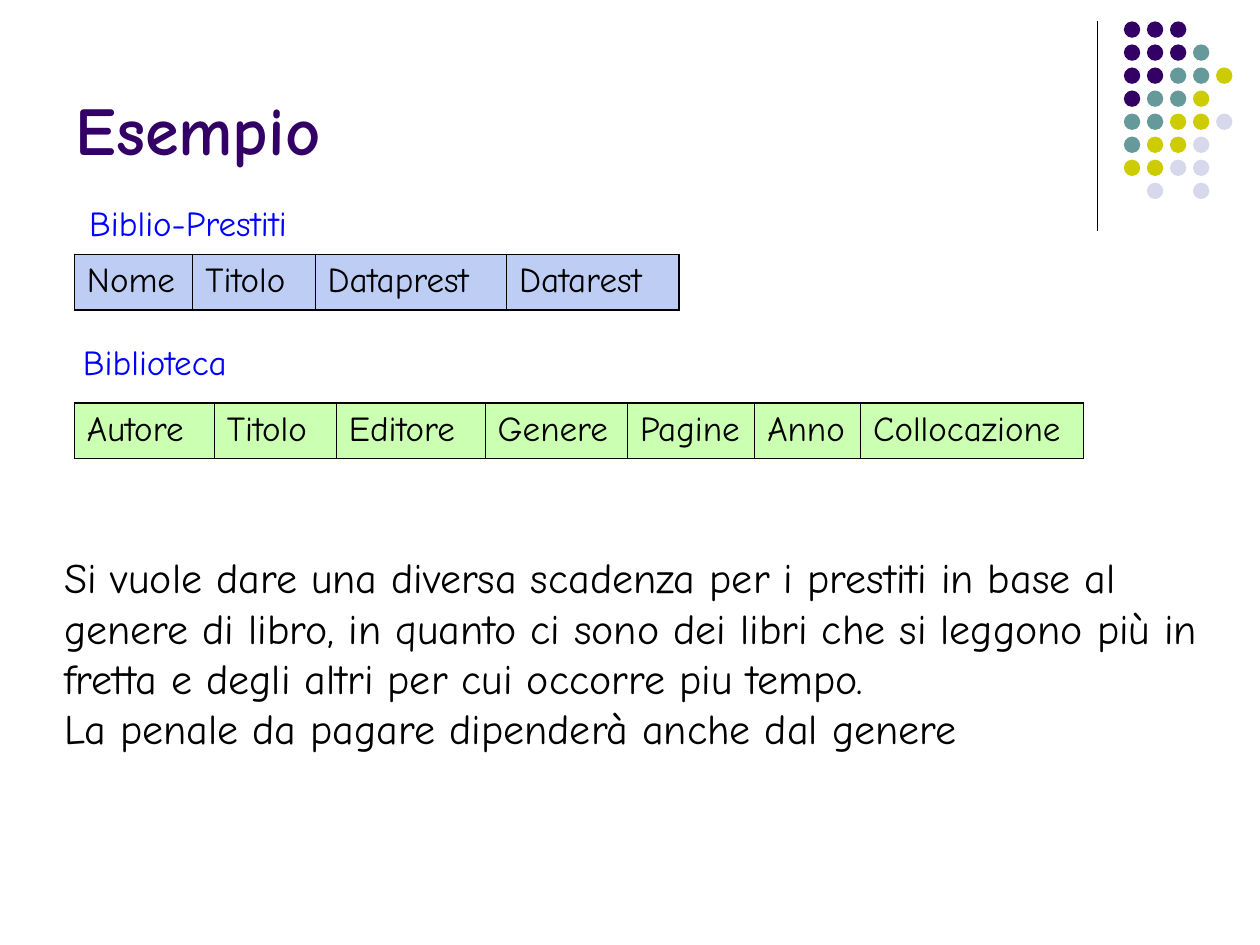
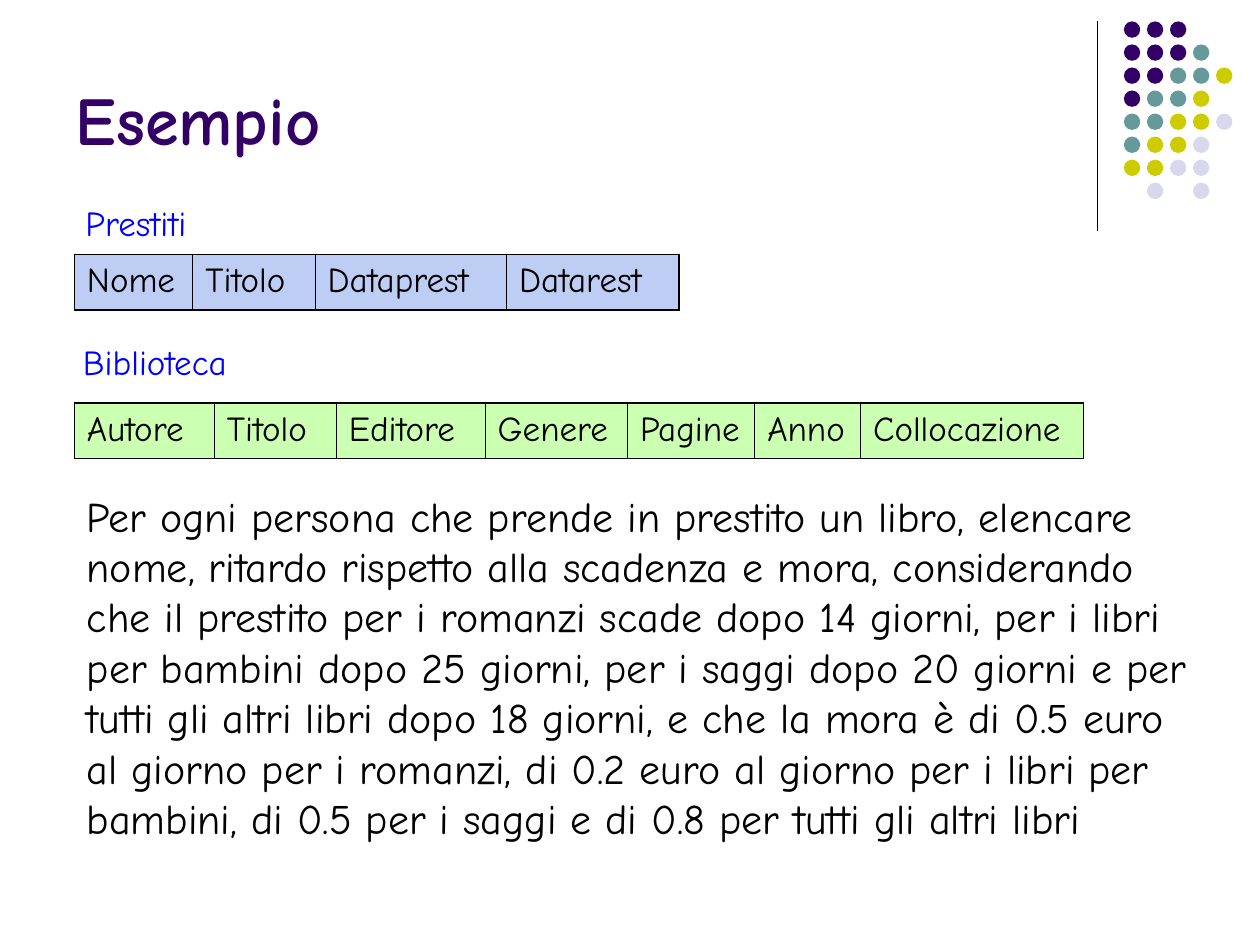
from dataclasses import dataclass

from lxml.etree import SubElement
from pptx import Presentation
from pptx.dml.color import RGBColor
from pptx.enum.shapes import MSO_CONNECTOR as CONNECTOR, MSO_SHAPE as SHAPE
from pptx.enum.text import MSO_ANCHOR as ANCHOR, MSO_AUTO_SIZE as AUTO_SIZE, PP_ALIGN as ALIGN
from pptx.oxml.ns import qn
from pptx.util import Inches, Pt


@dataclass(frozen=True)
class Theme:
    font: str = "Comic Neue"
    purple: str = "330066"
    teal: str = "669999"
    yellow: str = "CCCC00"
    lilac: str = "D8D8EC"
    blue: str = "0000FF"
    black: str = "000000"
    loans_fill: str = "7E9CE8"
    library_fill: str = "99FF66"
    fill_alpha: int = 50
    title_size: float = 39
    text_size: float = 24
    table_size: float = 20
    outer_border: float = 1.08
    inner_border: float = 0.45
    rule_width: float = 0.75


# Corner ornament: one letter per dot
DOT_ROWS = ["PPP", "PPPT", "PPTTY", "PTTY", "TTYYL", "TYYL", "YYLL", ".L.L"]
DOT_LEFT, DOT_TOP, DOT_SIZE = 8.92, 0.17, 0.13
DOT_PITCH = 1.28 / 7

# Both relations, as column name and width
LOANS = {"Nome": 0.94, "Titolo": 0.97, "Dataprest": 1.52, "Datarest": 1.37}
LIBRARY = {"Autore": 1.11, "Titolo": 0.97, "Editore": 1.18, "Genere": 1.13,
           "Pagine": 1.01, "Anno": 0.84, "Collocazione": 1.77}
TABLE_LEFT, ROW_HEIGHT = 0.59, 0.44


class Deck:
    def __init__(self, theme):
        self.theme = theme
        self.presentation = Presentation()
        self.presentation.slide_width = Inches(10)
        self.presentation.slide_height = Inches(7.5)
        self.slide = None

    def format(self, paragraph, size, color, bold=False):
        for run in paragraph.runs:
            run.font.name = self.theme.font
            run.font.size = Pt(size)
            run.font.bold = bold
            run.font.color.rgb = RGBColor.from_string(color)

    def new_slide(self, title, title_top):
        title_only = self.presentation.slide_layouts[5]
        self.slide = self.presentation.slides.add_slide(title_only)
        self.ornament()
        self.title(title, title_top)

    def ornament(self):
        theme = self.theme
        rule = self.slide.shapes.add_connector(
            CONNECTOR.STRAIGHT, Inches(8.71), Inches(0.17), Inches(8.71), Inches(1.83))
        rule.line.color.rgb = RGBColor.from_string(theme.black)
        rule.line.width = Pt(theme.rule_width)
        SubElement(rule.element.spPr, qn("a:effectLst"))

        colors = {"P": theme.purple, "T": theme.teal, "Y": theme.yellow, "L": theme.lilac}
        dots = self.slide.shapes.add_group_shape()
        for row, letters in enumerate(DOT_ROWS):
            for column, letter in enumerate(letters):
                if letter not in colors:
                    continue
                dot = dots.shapes.add_shape(
                    SHAPE.OVAL,
                    Inches(DOT_LEFT + column * DOT_PITCH), Inches(DOT_TOP + row * DOT_PITCH),
                    Inches(DOT_SIZE), Inches(DOT_SIZE))
                dot.shadow.inherit = False
                dot.fill.solid()
                dot.fill.fore_color.rgb = RGBColor.from_string(colors[letter])
                dot.line.fill.background()

    def title(self, text, top):
        heading = self.slide.shapes.title
        heading.left, heading.top = Inches(0.5), Inches(top)
        heading.width, heading.height = Inches(8.25), Inches(1.42)
        frame = heading.text_frame
        frame.text = text
        frame.auto_size = AUTO_SIZE.NONE
        frame.vertical_anchor = ANCHOR.BOTTOM
        frame.paragraphs[0].alignment = ALIGN.LEFT
        self.format(frame.paragraphs[0], self.theme.title_size, self.theme.purple, bold=True)

    def text(self, text, left, top, width, height, size, color, wrap=True):
        box = self.slide.shapes.add_textbox(
            Inches(left), Inches(top), Inches(width), Inches(height))
        frame = box.text_frame
        frame.text = text
        frame.word_wrap = wrap
        frame.auto_size = AUTO_SIZE.SHAPE_TO_FIT_TEXT
        for paragraph in frame.paragraphs:
            self.format(paragraph, size, color)

    def label(self, text, left, top, width):
        self.text(text, left, top, width, 0.44, self.theme.table_size, self.theme.blue, wrap=False)

    def body(self, text, left, top, width, height):
        self.text(text, left, top, width, height, self.theme.text_size, self.theme.black)

    def borders(self, cell, first, last):
        outer, inner = self.theme.outer_border, self.theme.inner_border
        widths = {"a:lnL": outer if first else inner, "a:lnR": outer if last else inner,
                  "a:lnT": outer, "a:lnB": outer}
        properties = cell._tc.get_or_add_tcPr()
        for tag, width in widths.items():
            line = SubElement(properties, qn(tag), w=str(Pt(width)))
            solid = SubElement(line, qn("a:solidFill"))
            SubElement(solid, qn("a:srgbClr"), val=self.theme.black)

    def relation(self, columns, top, fill):
        table = self.slide.shapes.add_table(
            1, len(columns), Inches(TABLE_LEFT), Inches(top),
            Inches(sum(columns.values())), Inches(ROW_HEIGHT)).table
        table.first_row = table.horz_banding = False
        for index, (name, width) in enumerate(columns.items()):
            table.columns[index].width = Inches(width)
            cell = table.cell(0, index)
            cell.text_frame.text = name
            self.format(cell.text_frame.paragraphs[0], self.theme.table_size, self.theme.black)
            self.borders(cell, index == 0, index == len(columns) - 1)
            cell.fill.solid()
            cell.fill.fore_color.rgb = RGBColor.from_string(fill)
            tint = cell._tc.tcPr.find(qn("a:solidFill")).find(qn("a:srgbClr"))
            SubElement(tint, qn("a:alpha"), val=str(self.theme.fill_alpha * 1000))

    def schema(self, loans_name, loans_left, loans_width):
        self.label(loans_name, loans_left, 1.55, loans_width)
        self.relation(LOANS, 2.02, self.theme.loans_fill)
        self.label("Biblioteca", 0.56, 2.65, 1.35)
        self.relation(LIBRARY, 3.2, self.theme.library_fill)


def main():
    deck = Deck(Theme())

    # Slide 1: loan periods by genre
    deck.new_slide("Esempio", -0.03)
    deck.schema("Biblio-Prestiti", 0.61, 1.77)
    deck.body(
        "Si vuole dare una diversa scadenza per i prestiti in base al genere di libro, "
        "in quanto ci sono dei libri che si leggono più in fretta e degli altri per cui "
        "occorre piu tempo.\n"
        "La penale da pagare dipenderà anche dal genere",
        0.41, 4.33, 9.31, 1.7)

    # Slide 2: the query to write
    deck.new_slide("Esempio", -0.11)
    deck.schema("Prestiti", 0.58, 1)
    deck.body(
        "Per ogni persona che prende in prestito un libro, elencare nome, ritardo rispetto "
        "alla scadenza e mora, considerando che il prestito per i romanzi scade dopo 14 "
        "giorni, per i libri per bambini dopo 25 giorni, per i saggi dopo 20 giorni e per "
        "tutti gli altri libri dopo 18 giorni, e che la mora è di 0.5 euro al giorno per i "
        "romanzi, di 0.2 euro al giorno per i libri per bambini, di 0.5 per i saggi e di "
        "0.8 per tutti gli altri libri",
        0.59, 3.84, 9.08, 2.9)

    deck.presentation.save("out.pptx")


if __name__ == "__main__":
    main()
